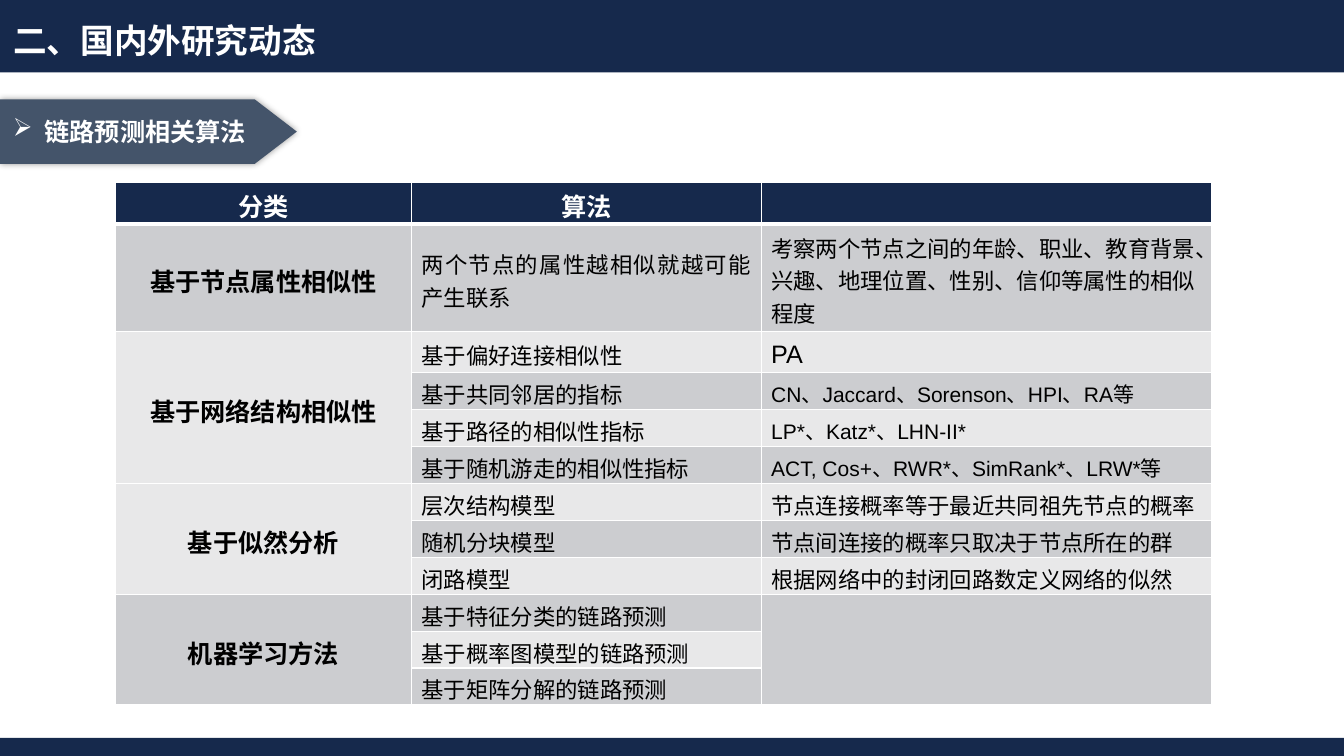
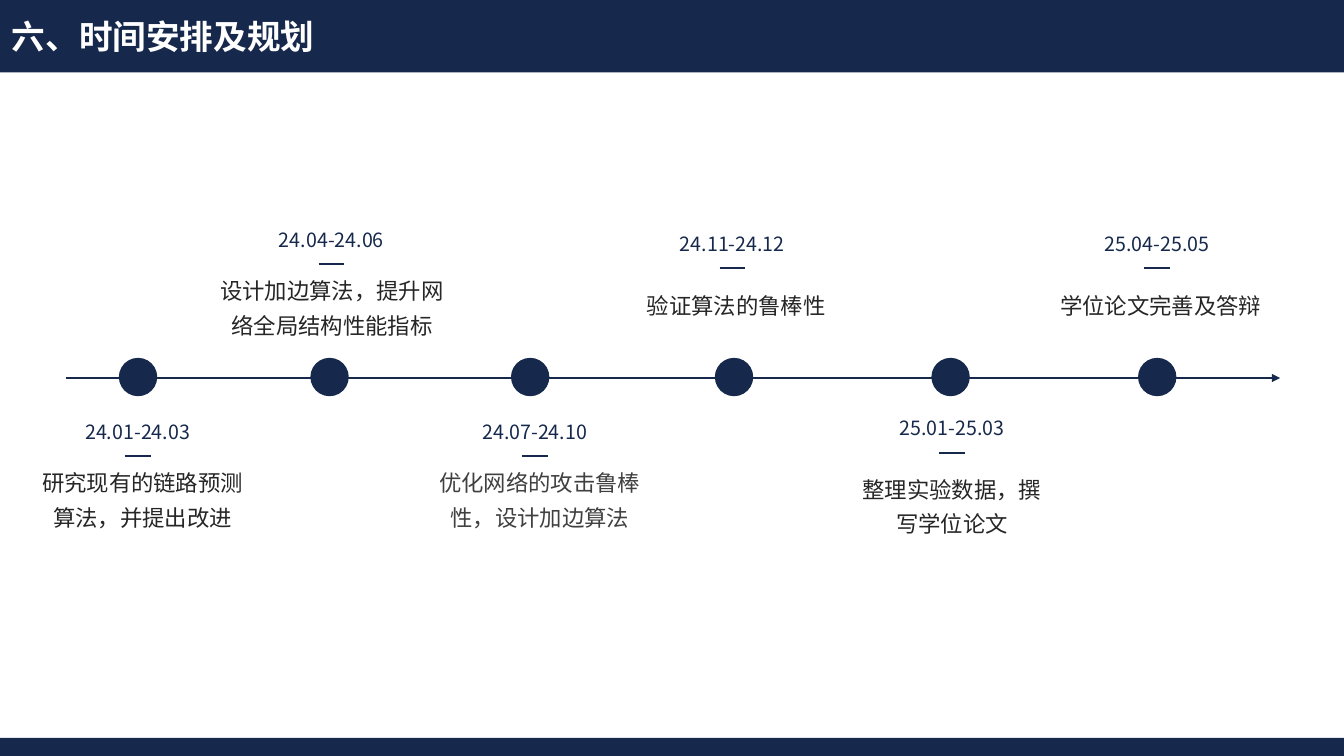
from dataclasses import dataclass

from lxml import etree
from pptx import Presentation
from pptx.dml.color import RGBColor
from pptx.enum.shapes import MSO_CONNECTOR, MSO_SHAPE
from pptx.enum.text import MSO_ANCHOR, MSO_AUTO_SIZE, PP_ALIGN
from pptx.oxml.ns import qn
from pptx.util import Pt

LEFT, CENTER, RIGHT, JUSTIFY = PP_ALIGN.LEFT, PP_ALIGN.CENTER, PP_ALIGN.RIGHT, PP_ALIGN.JUSTIFY
RECT, OVAL = MSO_SHAPE.RECTANGLE, MSO_SHAPE.OVAL
STRAIGHT = MSO_CONNECTOR.STRAIGHT
MIDDLE = MSO_ANCHOR.MIDDLE
FIT_SHAPE = MSO_AUTO_SIZE.SHAPE_TO_FIT_TEXT


@dataclass(frozen=True)
class Theme:
    navy: str = "16294C"
    slate: str = "44546A"
    white: str = "FFFFFF"
    black: str = "000000"
    ink: str = "262626"
    grey: str = "404040"
    row_dark: str = "CCCDD0"
    row_light: str = "E8E8E9"
    latin: str = "Arial"
    cjk: str = "Noto Sans CJK SC"
    title: int = 24
    heading: int = 18
    body: int = 16
    names: int = 15
    date: int = 14


T = Theme()


def add_solid(shapes, kind, x, y, w, h):
    sp = shapes.add_shape(kind, Pt(x), Pt(y), Pt(w), Pt(h))
    sp.shadow.inherit = False
    sp.fill.solid()
    sp.fill.fore_color.rgb = RGBColor.from_string(T.navy)
    sp.line.fill.background()
    return sp


def add_text(tf, text, size, color, align=LEFT, bold=False, font=T.cjk):
    p = tf.paragraphs[0]
    p.alignment = align
    r = p.add_run()
    r.text = text
    r.font.size = Pt(size)
    r.font.bold = bold
    r.font.color.rgb = RGBColor.from_string(color)
    r.font.name = font
    etree.SubElement(r.font._element, qn("a:ea"), typeface=T.cjk)
    return p


prs = Presentation()
prs.slide_width, prs.slide_height = Pt(960), Pt(540)
blank = prs.slide_layouts[6]

# Slides with their titles
slides = []
for title, x, y, align in (("二、国内外研究动态", 0, 10.8, RIGHT),
                           ("六、时间安排及规划", 1.4, 7.9, LEFT)):
    s = prs.slides.add_slide(blank)
    tf = s.shapes.add_textbox(Pt(x), Pt(y), Pt(232.6), Pt(36)).text_frame
    tf.word_wrap = False
    tf.auto_size = FIT_SHAPE
    add_text(tf, title, T.title, T.white, align, bold=True)
    slides.append(s)
review, schedule = slides

# Top and bottom bands, moved to the shared layout
for y, h in ((0, 51.8), (527, 15)):
    band = add_solid(review.shapes, RECT, 0, y, 960, h)
    blank.shapes._spTree.append(band._element)

# Review: arrow-shaped section tag
tag = review.shapes.add_group_shape()
builder = tag.shapes.build_freeform(212.4, 94, scale=Pt(1))
builder.add_line_segments([(182.2, 116.6), (0, 116.6), (0, 70.6), (182.2, 70.6)], close=True)
sp = builder.convert_to_shape()
sp.fill.solid()
sp.fill.fore_color.rgb = RGBColor.from_string(T.slate)
sp.line.fill.background()
effects = etree.SubElement(sp._element.spPr, qn("a:effectLst"))
shadow = etree.SubElement(effects, qn("a:outerShdw"), blurRad=str(Pt(5)), dist="0",
                          dir="0", algn="ctr", rotWithShape="0")
shade = etree.SubElement(shadow, qn("a:srgbClr"), val=T.black)
etree.SubElement(shade, qn("a:alpha"), val="40000")

tf = tag.shapes.add_textbox(Pt(0), Pt(79.2), Pt(182.9), Pt(28.8)).text_frame
tf.word_wrap = False
tf.auto_size = FIT_SHAPE
p = add_text(tf, "链路预测相关算法", T.heading, T.white, RIGHT, bold=True)
pPr = p._p.get_or_add_pPr()
pPr.set("marL", str(Pt(22.5)))
pPr.set("indent", str(Pt(-22.5)))
etree.SubElement(pPr, qn("a:buChar"), char="➢")

# Review: table of algorithms (None continues the cell above)
rows = [
    ("分类", "算法", ""),
    ("基于节点属性相似性", "两个节点的属性越相似就越可能产生联系",
     "考察两个节点之间的年龄、职业、教育背景、兴趣、地理位置、性别、信仰等属性的相似程度"),
    ("基于网络结构相似性", "基于偏好连接相似性", "PA"),
    (None, "基于共同邻居的指标", "CN、Jaccard、Sorenson、HPI、RA等"),
    (None, "基于路径的相似性指标", "LP*、Katz*、LHN-II*"),
    (None, "基于随机游走的相似性指标", "ACT, Cos+、RWR*、SimRank*、LRW*等"),
    ("基于似然分析", "层次结构模型", "节点连接概率等于最近共同祖先节点的概率"),
    (None, "随机分块模型", "节点间连接的概率只取决于节点所在的群"),
    (None, "闭路模型", "根据网络中的封闭回路数定义网络的似然"),
    ("机器学习方法", "基于特征分类的链路预测", ""),
    (None, "基于概率图模型的链路预测", None),
    (None, "基于矩阵分解的链路预测", None),
]
name_sizes = {2: T.heading, 3: T.names, 4: T.names, 5: T.names}
col_widths = (211.5, 249.8, 321.4)
row_heights = [29.5, 77, 29.2] + [26.4] * 9
table = review.shapes.add_table(len(rows), 3, Pt(82.4), Pt(130.4),
                                Pt(sum(col_widths)), Pt(sum(row_heights))).table
table.first_row = table.horz_banding = False
for col, width in zip(table.columns, col_widths):
    col.width = Pt(width)
for row, height in zip(table.rows, row_heights):
    row.height = Pt(height)

for i, row in enumerate(rows):
    for j, text in enumerate(row):
        cell = table.cell(i, j)
        cell.vertical_anchor = MIDDLE
        cell.margin_bottom = Pt(0)
        tcPr = cell._tc.get_or_add_tcPr()
        for side in ("lnL", "lnR", "lnT", "lnB"):
            thick = (i, side) in ((0, "lnB"), (1, "lnT"))
            ln = etree.SubElement(tcPr, qn("a:" + side), w=str(Pt(3 if thick else 1)))
            etree.SubElement(etree.SubElement(ln, qn("a:solidFill")), qn("a:srgbClr"), val=T.white)
        fill = T.navy if i == 0 else T.row_dark if i % 2 else T.row_light
        cell.fill.solid()
        cell.fill.fore_color.rgb = RGBColor.from_string(fill)
        if not text:
            continue
        if i == 0 or j == 0:
            color = T.white if i == 0 else T.black
            add_text(cell.text_frame, text, T.heading, color, CENTER, True, T.latin)
        else:
            size = name_sizes.get(i, T.body) if j == 2 else T.body
            align = JUSTIFY if j == 1 else LEFT
            add_text(cell.text_frame, text, size, T.black, align, font=T.latin)

for first, last, col in ((2, 5, 0), (6, 8, 0), (9, 11, 0), (9, 11, 2)):
    table.cell(first, col).merge(table.cell(last, col))

# Schedule: dot centre x, date centre x, dash y, date,
# then caption centre x, top, width, height, text, colour and font
DOT, DASH, AXIS_Y = 27.4, 18.4, 270
stages = [
    (98.6, 98.4, 326, "24.01-24.03",
     101.9, 326, 159, 55.4, "研究现有的链路预测算法，并提出改进", T.ink, T.latin),
    (235.4, 236.8, 188.6, "24.04-24.06",
     237.2, 188.6, 178, 55.4, "设计加边算法，提升网络全局结构性能指标", T.ink, T.latin),
    (378.7, 382, 326, "24.07-24.10",
     385.6, 326, 159, 55.4, "优化网络的攻击鲁棒性，设计加边算法", T.grey, T.cjk),
    (524.3, 523.2, 191.5, "24.11-24.12",
     526, 199.4, 169, 30.2, "验证算法的鲁棒性", T.ink, T.latin),
    (679, 680.2, 323.3, "25.01-25.03",
     680, 330.5, 149, 55.4, "整理实验数据，撰写学位论文", T.ink, T.latin),
    (826.6, 826.4, 191.5, "25.04-25.05",
     829.1, 199.4, 169, 30.2, "学位论文完善及答辩", T.ink, T.latin),
]

# Schedule: axis and the dashes under the dates
lines = [(47.5, 914.4, AXIS_Y, 1)]
lines += [(x - DASH / 2, x + DASH / 2, y, 1.5) for _, x, y, *_ in stages]
for x1, x2, y, width in lines:
    line = schedule.shapes.add_connector(STRAIGHT, Pt(x1), Pt(y), Pt(x2), Pt(y))
    line.line.width = Pt(width)
    line.line.color.rgb = RGBColor.from_string(T.navy)
    if y == AXIS_Y:
        etree.SubElement(line.line._get_or_add_ln(), qn("a:tailEnd"), type="triangle")
    etree.SubElement(line._element.spPr, qn("a:effectLst"))

# Schedule: dots, dates and captions
for dot_x, date_x, dash_y, date, text_x, text_y, w, h, text, color, font in stages:
    add_solid(schedule.shapes, OVAL, dot_x - DOT / 2, AXIS_Y - 0.7 - DOT / 2, DOT, DOT)
    labels = ((date_x, dash_y - 29.5, 100.8, 24.5, date, T.date, T.navy, T.cjk),
              (text_x, text_y, w, h, text, T.body, color, font))
    for x, y, width, height, words, size, ink, face in labels:
        tf = schedule.shapes.add_textbox(Pt(x - width / 2), Pt(y), Pt(width), Pt(height)).text_frame
        tf.word_wrap = True
        tf.auto_size = FIT_SHAPE
        p = add_text(tf, words, size, ink, CENTER, font=face)
        if words == text:
            p.line_spacing = 1.3
            p.space_before = Pt(6)

prs.save("out.pptx")
